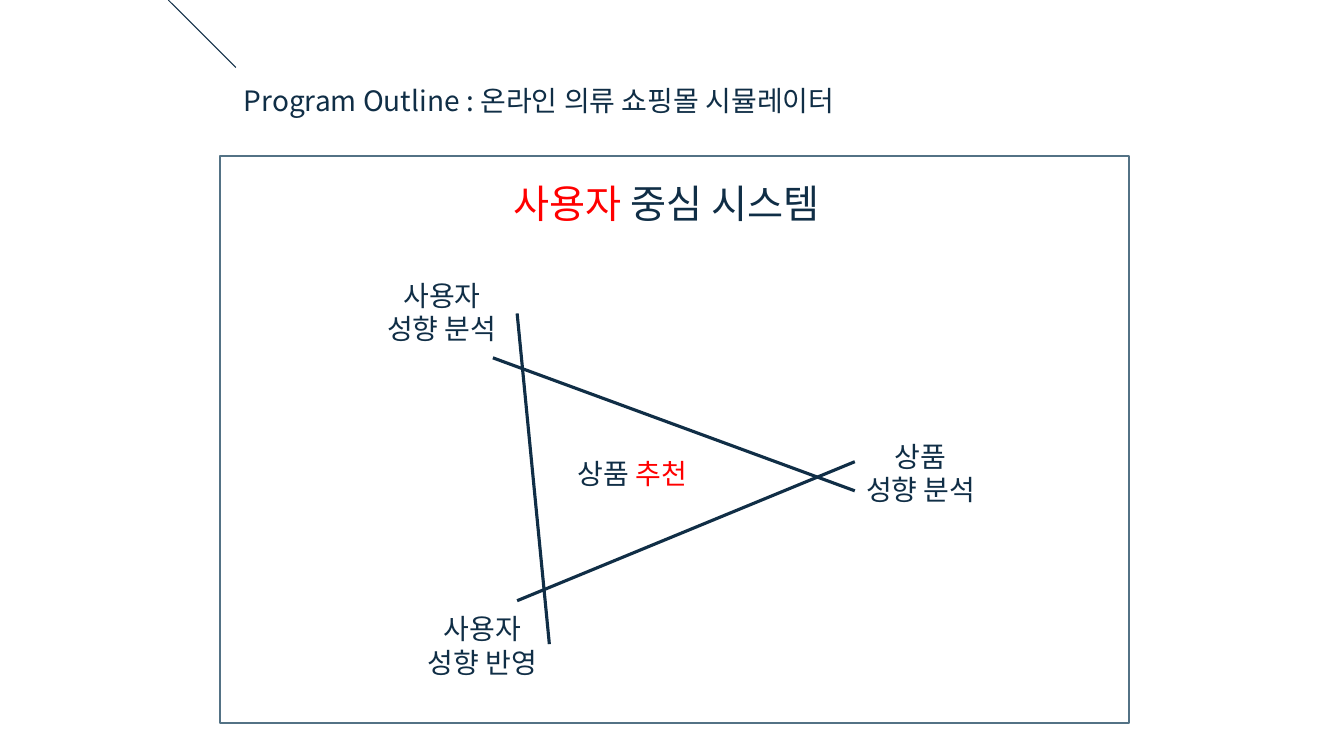
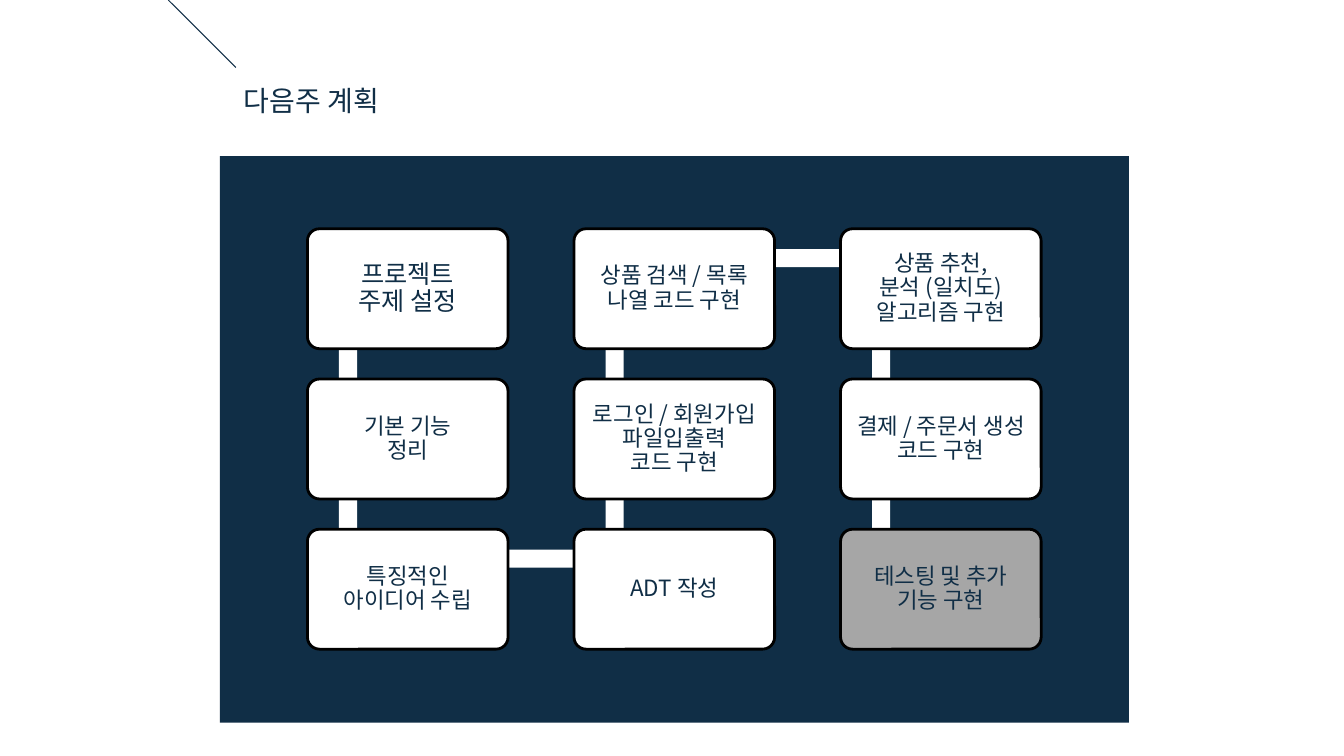
from lxml import etree
from pptx import Presentation
from pptx.dml.color import RGBColor
from pptx.enum import shapes as sh, text as tx
from pptx.oxml.ns import qn
from pptx.util import Pt

# Shared style
INK = RGBColor(0x10, 0x2E, 0x46)
EDGE = RGBColor(0x53, 0x72, 0x85)
RED = RGBColor(0xFF, 0x00, 0x00)
WHITE = RGBColor(0xFF, 0xFF, 0xFF)
GREY = RGBColor(0xA6, 0xA6, 0xA6)
BLACK = RGBColor(0x00, 0x00, 0x00)
FONT = "Noto Sans CJK KR"
FRAME = (157, 111.6, 649.4, 404.6)
RECT = sh.MSO_SHAPE.RECTANGLE
ROUND = sh.MSO_SHAPE.ROUNDED_RECTANGLE
LEFT, CENTER = tx.PP_ALIGN.LEFT, tx.PP_ALIGN.CENTER

# Outline slide: runs, place, size, alignment
OUTLINE = "Program Outline : 온라인 의류 쇼핑몰 시뮬레이터"
LABELS = [
    ([("사용자 ", RED), ("중심 시스템", INK)], (360, 124.6, 242, 41), 28, LEFT),
    ([("사용자\n성향 분석", INK)], (267.8, 195.1, 95.8, 55.4), 20, CENTER),
    ([("상품\n성향 분석", INK)], (609.1, 310.3, 97.2, 55.4), 20, CENTER),
    ([("사용자\n성향 반영", INK)], (295.9, 433.4, 97.2, 55.4), 20, CENTER),
    ([("상품", INK), (" 추천", RED)], (405.4, 322.6, 95.8, 31.7), 20, LEFT),
]
SIDES = [
    (352.1, 255.6, 610.6, 350.6),
    (369.4, 429.1, 610.6, 329.8),
    (392.4, 460.1, 369.4, 223.9),
]

# Plan slide: steps column by column, in working order
PLAN = "다음주 계획"
STEPS = [
    ["프로젝트\n주제 설정", "기본 기능\n정리", "특징적인\n아이디어 수립"],
    ["ADT 작성", "로그인 / 회원가입\n파일입출력\n코드 구현",
     "상품 검색 / 목록\n나열 코드 구현"],
    ["상품 추천,\n분석 (일치도)\n알고리즘 구현", "결제 / 주문서 생성 코드 구현",
     "테스팅 및 추가\n기능 구현"],
]
GRID = (219.6, 163.4)
STEP = (190.4, 107.3)
BOX = (143.3, 85.7)
KNOT = (29, 21)
BAR = 13


def write(frame, runs, size=20, align=LEFT, anchor=tx.MSO_ANCHOR.TOP,
          wrap=False, spacing=None, inset=None):
    frame.word_wrap = wrap
    frame.vertical_anchor = anchor
    if inset is not None:
        frame.margin_left = frame.margin_right = Pt(inset)
        frame.margin_top = frame.margin_bottom = Pt(inset)
    para = frame.paragraphs[0]
    para.alignment = align
    para.line_spacing = spacing
    for words, color in runs:
        for n, line in enumerate(words.split("\n")):
            if n:
                para.add_line_break()
            run = para.add_run()
            run.text = line
            run.font.size = Pt(size)
            run.font.color.rgb = color
            run.font.name = FONT
            # Hangul takes the East Asian font
            east = etree.SubElement(run.font._element, qn("a:ea"))
            east.set("typeface", FONT)


def block(slide, kind, place, fill=None, line=None, width=1.5):
    shape = slide.shapes.add_shape(kind, *map(Pt, place))
    shape.shadow.inherit = False
    if fill is None:
        shape.fill.background()
    else:
        shape.fill.solid()
        shape.fill.fore_color.rgb = fill
    if line is None:
        shape.line.fill.background()
    else:
        shape.line.color.rgb = line
        shape.line.width = Pt(width)
    return shape


def rule(slide, ends, width):
    line = slide.shapes.add_connector(sh.MSO_CONNECTOR.STRAIGHT, *map(Pt, ends))
    line.line.color.rgb = INK
    line.line.width = Pt(width)
    etree.SubElement(line._element.spPr, qn("a:effectLst"))


def base(deck, title, **frame):
    """Add a slide with the title, corner line and framed panel."""
    slide = deck.slides.add_slide(deck.slide_layouts[5])
    head = slide.shapes.title
    head.left, head.top, head.width, head.height = map(Pt, (167, 56.2, 620, 31.7))
    head.text_frame.auto_size = tx.MSO_AUTO_SIZE.NONE
    write(head.text_frame, [(title, INK)], wrap=True)
    block(slide, RECT, FRAME, **frame)
    rule(slide, (120.2, 0, 168.5, 48.2), 0.75)
    return slide


def outline(deck):
    slide = base(deck, OUTLINE, line=EDGE)
    for ends in SIDES:
        rule(slide, ends, 2.25)
    for runs, place, size, align in LABELS:
        box = slide.shapes.add_textbox(*map(Pt, place))
        box.text_frame.auto_size = tx.MSO_AUTO_SIZE.SHAPE_TO_FIT_TEXT
        write(box.text_frame, runs, size=size, align=align)


def plan(deck):
    slide = base(deck, PLAN, fill=INK)
    # Steps run down, up, then down again
    spots = []
    for col, names in enumerate(STEPS):
        for n, name in enumerate(names):
            row = len(names) - 1 - n if col % 2 else n
            spots.append((name, GRID[0] + col * STEP[0], GRID[1] + row * STEP[1]))
    # Bars join each step to the next, behind the boxes
    for (_, x1, y1), (_, x2, y2) in zip(spots, spots[1:]):
        place = (min(x1, x2) + KNOT[0] - BAR / 2, min(y1, y2) + KNOT[1] - BAR / 2,
                 abs(x2 - x1) + BAR, abs(y2 - y1) + BAR)
        block(slide, RECT, place, fill=WHITE)
    for n, (name, x, y) in enumerate(spots):
        last = n == len(spots) - 1
        box = block(slide, ROUND, (x, y, *BOX), fill=GREY if last else WHITE,
                    line=BLACK, width=2)
        box.adjustments[0] = 0.1
        write(box.text_frame, [(name, INK)], size=16 if n else 18, align=CENTER,
              anchor=tx.MSO_ANCHOR.MIDDLE, wrap=True, spacing=0.9, inset=5)


def main():
    deck = Presentation()
    deck.slide_width, deck.slide_height = Pt(960), Pt(540)
    outline(deck)
    plan(deck)
    deck.save("out.pptx")


if __name__ == "__main__":
    main()
